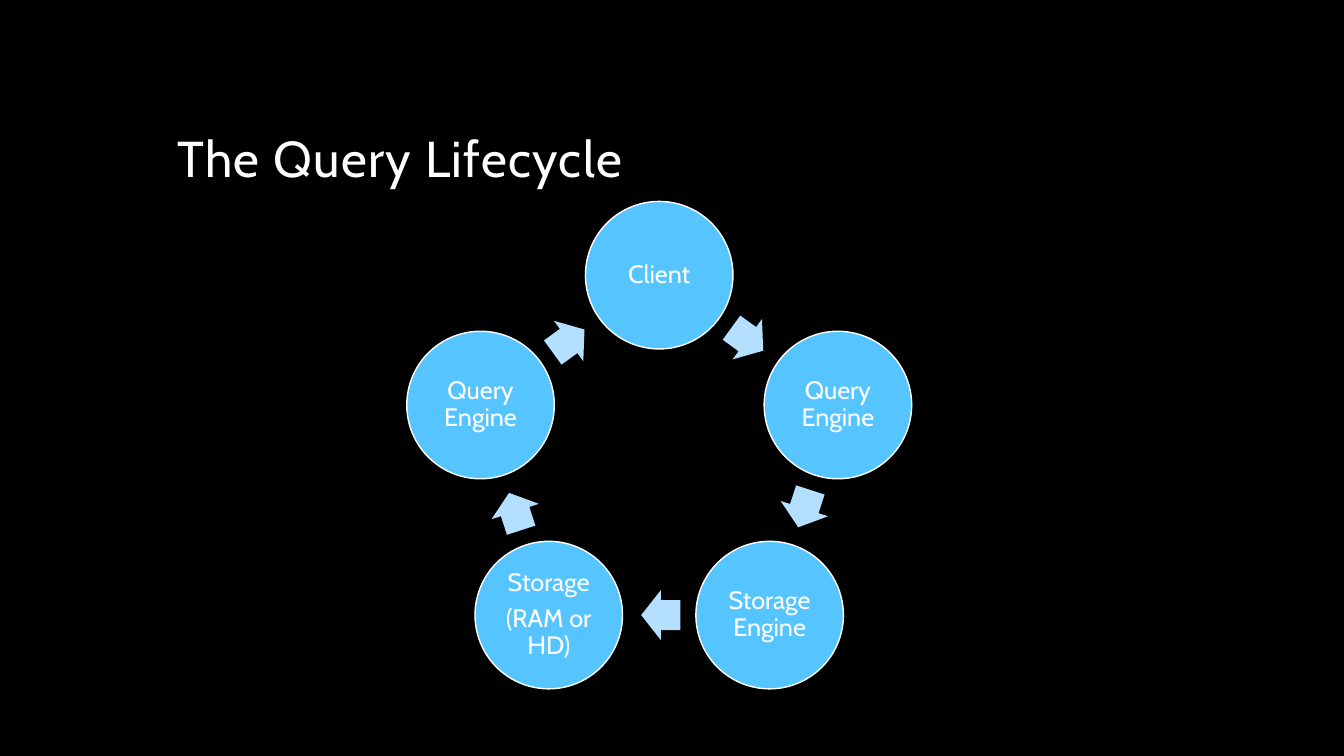
"""Build the query lifecycle slide: five stages on a ring, joined by arrows."""
from dataclasses import dataclass
from math import cos, radians, sin

from pptx import Presentation
from pptx.dml.color import RGBColor
from pptx.enum.shapes import MSO_SHAPE
from pptx.enum.text import MSO_ANCHOR, PP_ALIGN
from pptx.util import Pt

OVAL = MSO_SHAPE.OVAL
ARROW = MSO_SHAPE.RIGHT_ARROW
MIDDLE = MSO_ANCHOR.MIDDLE
BOTTOM = MSO_ANCHOR.BOTTOM
CENTER = PP_ALIGN.CENTER

BLACK = RGBColor(0x00, 0x00, 0x00)
WHITE = RGBColor(0xFF, 0xFF, 0xFF)
BLUE = RGBColor(0x56, 0xC5, 0xFF)
PALE_BLUE = RGBColor(0xB4, 0xDF, 0xFF)

FONT = "Cabin"
RING_X, RING_Y, RING_RADIUS = 470.9, 330.8, 134.2
CIRCLE_SIZE = 105.4
ARROW_W, ARROW_H = 28, 35.6
ARROW_SETBACK = 1.1


@dataclass(frozen=True)
class Stage:
    lines: tuple[str, ...]


STAGES = (
    Stage(("Client",)),
    Stage(("Query Engine",)),
    Stage(("Storage Engine",)),
    Stage(("Storage", "(RAM or HD)")),
    Stage(("Query Engine",)),
)
STEP = 360 / len(STAGES)


def style_paragraph(p, size: float) -> None:
    p.line_spacing = 0.9
    p.font.name = FONT
    p.font.size = Pt(size)
    p.font.color.rgb = WHITE


def add_title(slide, text: str) -> None:
    s = slide.shapes.add_textbox(Pt(119.5), Pt(30.2), Pt(720), Pt(108))
    tf = s.text_frame
    tf.word_wrap = True
    tf.vertical_anchor = BOTTOM
    p = tf.paragraphs[0]
    r = p.add_run()
    r.text = text
    r._r.get_or_add_rPr().set("spc", "100")
    style_paragraph(p, 36)


def add_centered(slide, kind, x: float, y: float, w: float, h: float, color: RGBColor):
    s = slide.shapes.add_shape(kind, Pt(x - w / 2), Pt(y - h / 2), Pt(w), Pt(h))
    s.shadow.inherit = False
    s.fill.solid()
    s.fill.fore_color.rgb = color
    return s


def add_stage(slide, stage: Stage, angle: float) -> None:
    x = RING_X + RING_RADIUS * sin(radians(angle))
    y = RING_Y - RING_RADIUS * cos(radians(angle))
    s = add_centered(slide, OVAL, x, y, CIRCLE_SIZE, CIRCLE_SIZE, BLUE)
    s.line.color.rgb = WHITE
    s.line.width = Pt(1)
    tf = s.text_frame
    tf.word_wrap = True
    tf.vertical_anchor = MIDDLE
    tf.margin_left = tf.margin_right = tf.margin_top = tf.margin_bottom = Pt(2)
    for i, line in enumerate(stage.lines):
        p = tf.add_paragraph() if i else tf.paragraphs[0]
        p.text = line
        p.alignment = CENTER
        p.space_after = Pt(6.3)
        style_paragraph(p, 18)


def add_arrow(slide, angle: float) -> None:
    a = radians(angle)
    reach = RING_RADIUS * cos(radians(STEP / 2))
    x = RING_X + reach * sin(a) - ARROW_SETBACK * cos(a)
    y = RING_Y - reach * cos(a) - ARROW_SETBACK * sin(a)
    s = add_centered(slide, ARROW, x, y, ARROW_W, ARROW_H, PALE_BLUE)
    s.line.fill.background()
    s.adjustments[0] = 0.6
    s.adjustments[1] = 0.5
    s.rotation = angle


def main() -> None:
    prs = Presentation()
    prs.slide_width, prs.slide_height = Pt(960), Pt(540)
    slide = prs.slides.add_slide(prs.slide_layouts[6])
    slide.background.fill.solid()
    slide.background.fill.fore_color.rgb = BLACK
    add_title(slide, "The Query Lifecycle")
    for i, stage in enumerate(STAGES):
        add_stage(slide, stage, i * STEP)
        add_arrow(slide, (i + 0.5) * STEP)
    prs.save("out.pptx")


if __name__ == "__main__":
    main()
